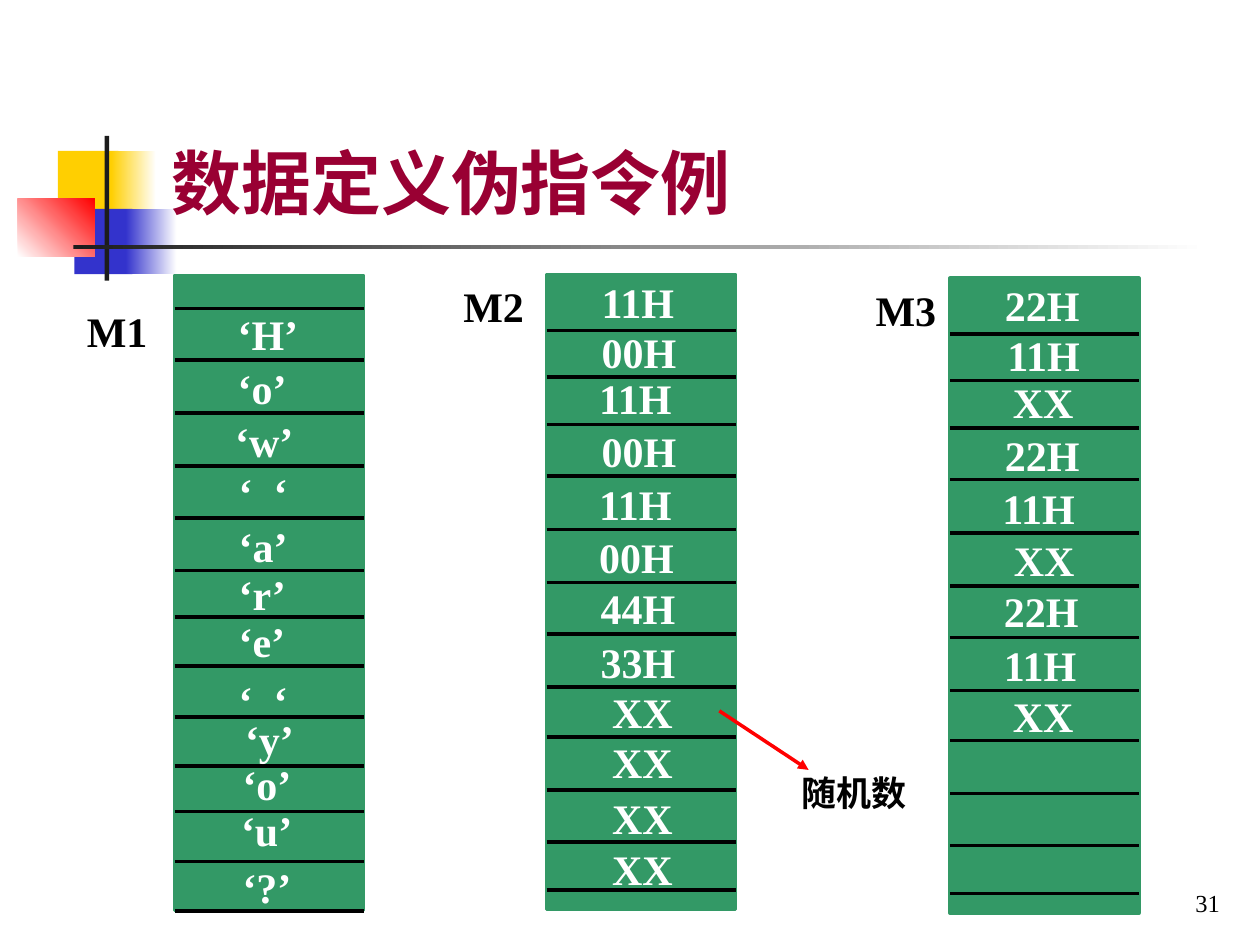
from lxml.etree import SubElement
from pptx import Presentation
from pptx.dml.color import RGBColor
from pptx.enum.shapes import MSO_CONNECTOR as Connector, MSO_SHAPE as Shape
from pptx.enum.text import MSO_ANCHOR as Anchor, PP_ALIGN as Align
from pptx.oxml.ns import qn
from pptx.util import Cm, Pt

COLORS = {
    "title": "990033", "cell": "339966", "ink": "000000", "white": "FFFFFF",
    "yellow": "FFCF01", "blue": "3333CC", "red": "FF0000", "bar": "1C1C1C",
}
SERIF = "Times New Roman"
COLUMN_SIZE = (3.81, 12.8)

# Row rules and text tops, measured down from the top of a column
CHAR_RULES = [0.66, 1.7, 2.77, 3.84, 4.88, 5.94, 6.88, 7.87, 8.89, 9.88,
              10.8, 11.81, 12.8]
CHAR_TOPS = [0.53, 1.63, 2.69, 3.71, 4.8, 5.77, 6.73, 7.92, 8.69, 9.6,
             10.54, 11.68]
WORD_RULES = [1.12, 2.06, 3.02, 4.06, 5.13, 6.2, 7.24, 8.31, 9.32, 10.39,
              11.43, 12.4]
WORD_TOPS = [-0.1, 0.91, 1.85, 2.92, 3.99, 5.05, 6.07, 7.16, 8.18, 9.19,
             10.31, 11.33]

# Each cell is its text and its indent from the left of the column
M1_CELLS = [("‘H’", 1.02), ("‘o’", 1.02), ("‘w’", 0.97), ("‘  ‘", 1.04),
            ("‘a’", 1.04), ("‘r’", 1.04), ("‘e’", 1.04), ("‘  ‘", 1.04),
            ("‘y’", 1.17), ("‘o’", 1.12), ("‘u’", 1.09), ("‘?’", 1.12)]
M2_CELLS = [("11H", 0.86), ("00H", 0.86), ("11H", 0.81), ("00H", 0.86),
            ("11H", 0.81), ("00H", 0.81), ("44H", 0.84), ("33H", 0.84),
            *[("XX", 1.07)] * 4]
M3_CELLS = [("22H", 0.86), ("11H", 0.91), ("XX", 1.02), ("22H", 0.86),
            ("11H", 0.81), ("XX", 1.04), ("22H", 0.84), ("11H", 0.84),
            ("XX", 1.02)]


def color(name):
    return RGBColor.from_string(COLORS[name])


def write(frame, text, *, size=24, font=SERIF, ink="ink", bold=True,
          align=Align.LEFT, anchor=Anchor.TOP):
    frame.word_wrap = True
    frame.vertical_anchor = anchor
    para = frame.paragraphs[0]
    para.alignment = align
    span = para.add_run()
    span.text = text
    span.font.size = Pt(size)
    span.font.name = font
    span.font.bold = bold
    span.font.color.rgb = color(ink)


def add_text(page, box, text, **style):
    textbox = page.shapes.add_textbox(*map(Cm, box))
    write(textbox.text_frame, text, **style)


def add_block(page, box, start, end=None, angle=0, outline=False):
    """Add a rectangle, plain or fading from start to end."""
    block = page.shapes.add_shape(Shape.RECTANGLE, *map(Cm, box))
    block.shadow.inherit = False
    if end:
        block.fill.gradient()
        block.fill.gradient_angle = angle
        for stop, name in zip(block.fill.gradient_stops, (start, end)):
            stop.color.rgb = color(name)
    else:
        block.fill.solid()
        block.fill.fore_color.rgb = color(start)
    if outline:
        block.line.color.rgb = color(start)
        block.line.width = Pt(2)
    else:
        block.line.fill.background()


def add_line(page, start, end, ink="ink", arrow=False):
    line = page.shapes.add_connector(
        Connector.STRAIGHT, *map(Cm, (*start, *end)))
    line.line.color.rgb = color(ink)
    line.line.width = Pt(2)
    if arrow:
        SubElement(line.line._get_or_add_ln(), qn("a:tailEnd"), type="triangle")
    SubElement(line.element.spPr, qn("a:effectLst"))


def add_ornament(page, left, top):
    """Coloured squares, crossed by a vertical and a fading horizontal bar."""
    def place(x, y, width, height, *fill):
        add_block(page, (left + x, top + y, width, height), *fill)

    place(0.81, 0.3, 1.22, 1.32, "yellow")
    place(1.88, 0.3, 0.91, 1.32, "yellow", "white")
    place(1.14, 1.47, 1.17, 1.32, "blue")
    place(2.18, 1.47, 1.02, 1.32, "blue", "white")
    place(0, 1.27, 1.55, 1.17, "white", "red", 45)
    place(1.75, 0, 0.09, 2.92, "bar")
    place(1.12, 2.2, 22.86, 0.09, "bar", "white")


def add_title(page, box, text):
    title = page.shapes.title
    title.left, title.top, title.width, title.height = map(Cm, box)
    write(title.text_frame, text, size=40, font="Arial", ink="title",
          anchor=Anchor.BOTTOM)
    # Bring the title in front of the ornament
    title.element.getparent().append(title.element)


def add_memory(page, left, top, label, label_offset, cells, tops, rules):
    """A memory column with its label, row rules and cell texts."""
    width, height = COLUMN_SIZE
    add_block(page, (left, top, width, height), "cell", outline=True)
    for rule in rules:
        add_line(page, (left, top + rule), (left + width, top + rule))
    dx, dy = label_offset
    add_text(page, (left + dx, top + dy, 1.9, 1.27), label)
    for (text, indent), offset in zip(cells, tops):
        add_text(page, (left + indent, top + offset, 2.54, 1.27), text,
                 ink="white")


def add_callout(page, left, top):
    """Red arrow to the note on undefined values."""
    add_line(page, (left, top), (left + 1.8, top + 1.19), "red", arrow=True)
    add_text(page, (left + 1.4, top + 1.09, 3.4, 1.12), "随机数", size=20)


def main():
    deck = Presentation()
    deck.slide_width, deck.slide_height = Cm(25.4), Cm(19.05)
    page = deck.slides.add_slide(deck.slide_layouts[5])

    # Heading
    add_ornament(page, 0.36, 2.74)
    add_title(page, (3.2, 0.58, 21.64, 4.06), "数据定义伪指令例")

    # Memory columns
    add_memory(page, 3.52, 5.56, "M1", (-2.02, 0.48), M1_CELLS, CHAR_TOPS,
               CHAR_RULES)
    add_memory(page, 11.02, 5.54, "M2", (-1.93, 0), M2_CELLS, WORD_TOPS,
               WORD_RULES)
    add_memory(page, 19.15, 5.61, "M3", (-1.75, 0), M3_CELLS, WORD_TOPS,
               WORD_RULES)

    # Note and page number
    add_callout(page, 14.5, 14.33)
    add_text(page, (19.56, 17.35, 5.28, 1.27), "31", size=14, bold=False,
             align=Align.RIGHT, anchor=Anchor.BOTTOM)
    deck.save("out.pptx")


if __name__ == "__main__":
    main()
